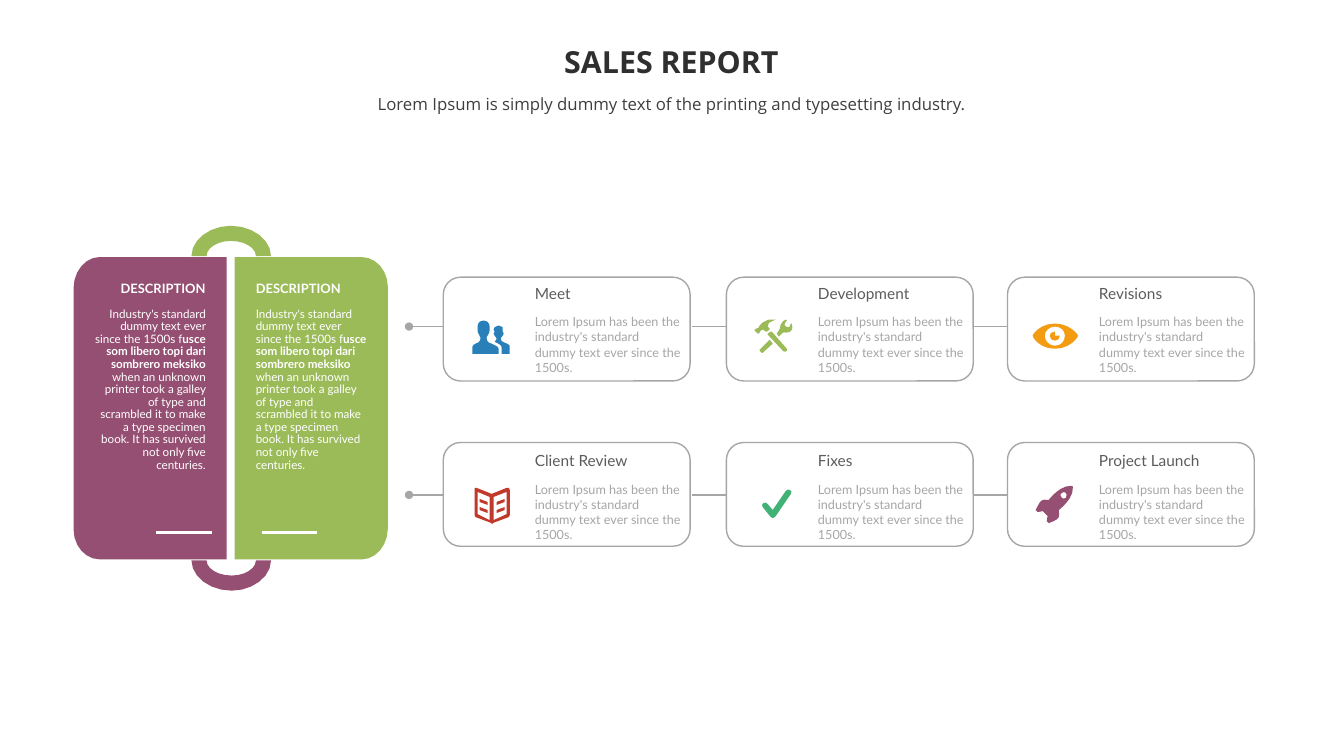
from lxml import etree
from pptx import Presentation
from pptx import util as u
from pptx.dml.color import RGBColor
from pptx.enum import shapes, text
from pptx.oxml import ns

GRAY, WHITE, PLUM, GREEN = "A6A6A6", "FFFFFF", "954F72", "9BBB59"
LEFT, RIGHT, MID = text.PP_ALIGN.LEFT, text.PP_ALIGN.RIGHT, text.PP_ALIGN.CENTER

# Outlines in hundredths of an inch: "x,y" is a line, six numbers are a curve,
# and "/" starts a new contour.
PANEL = "0,270 0,31 0,14,12,0,26,0 152,0 152,300 26,300 12,300,0,287,0,270"
ARCH = ("0,30 0,14,18,0,39,0 61,0,79,14,79,30 64,30 64,22,53,15,39,15 "
        "26,15,15,22,15,30")
PEOPLE = (
    "37,33 37,25 36,24,35,23,32,22 29,21,28,20,28,18 28,17,29,17,30,15 "
    "30,14,30,15,31,13 31,12,30,11,30,11 30,9 31,8,30,5,26,5 22,5,21,8,21,9 "
    "22,10,22,11,22,11 22,11,21,12,21,13 21,15,22,14,22,15 23,17,24,17,24,18 "
    "24,19,23,20,22,21 28,24,29,25,29,27 29,33 / "
    "19,23 15,22,14,20,14,17 14,16,15,16,16,13 16,12,17,13,17,10 17,6 "
    "17,4,16,0,11,0 6,0,5,4,5,6 5,10 5,13,6,12,6,13 7,16,8,16,8,17 "
    "8,20,7,22,3,23 2,24,0,24,0,26 0,33 26,33 26,28 26,26,23,25,19,23")
TOOLS = (
    "6,11 8,9,9,10,11,12 12,12 15,10 15,9 13,7 10,3,23,0,21,0 15,0 "
    "13,0,10,2,8,3 6,5,5,6,5,6 5,6,5,7,4,8 3,9,2,8,2,9 0,10 0,11 3,14 4,14 "
    "5,13 5,13,5,11,6,11 / "
    "17,12 16,11,16,11,16,12 13,14 13,15 29,32 29,33,30,33,30,32 32,31 32,29 / "
    "37,4 37,3,37,3,36,4 36,4,35,6,35,7 34,7,33,9,31,7 29,6,30,5,30,4 "
    "30,3,32,1,32,1 32,1,32,0,31,0 30,1,26,2,26,5 25,7,26,9,24,11 22,14 24,17 "
    "27,14 28,13,30,12,31,13 34,13,36,12,37,10 38,9,37,5,37,4 / "
    "5,30 5,31 7,33 8,33 18,24 15,20")
EYE = (
    "22,0 7,0,0,11,0,12 0,14,7,25,22,25 37,25,45,14,45,12 45,11,37,0,22,0 / "
    "22,22 17,22,12,18,12,12 12,7,17,3,22,3 28,3,32,7,32,12 32,18,28,22,22,22 / "
    "22,12 21,11,24,8,22,8 19,8,17,10,17,12 17,15,19,17,22,17 "
    "25,17,27,15,27,12 27,11,23,13,22,12")
BOOK = (
    "34,0 32,0 17,6 2,0 0,0 0,27 1,29 17,35 17,36 18,36 18,35 34,29 35,27 35,2 / "
    "15,32 3,26 3,4 15,9 / 32,26 19,32 19,9 32,4 / "
    "13,22 5,19 5,22 13,25 / 13,14 5,11 5,14 13,17 / "
    "30,19 22,22 22,25 30,22 / 30,11 22,14 22,17 30,14")
CHECK = (
    "11,29 10,29,9,28,9,28 1,18 0,17,0,15,2,14 3,13,5,14,6,15 11,21 24,2 "
    "25,1,27,0,28,1 30,2,30,4,29,5 14,27 13,28,12,29,11,29")
ROCKET = (
    "23,25 23,25,38,14,37,2 36,1 24,0,13,15,13,15 4,14,5,16,0,25 "
    "0,27,1,28,2,27 4,27,7,26,7,26 12,31 12,31,11,34,11,36 10,37,11,39,13,38 "
    "23,34,24,34,23,25 / "
    "26,13 24,11,24,9,26,8 27,7,29,7,30,8 31,9,31,11,30,13 29,14,27,14,26,13")

COLS = (4.4, 7.21, 10)
ROWS = ((2.75, 3.24, 2.77), (4.39, 4.91, 4.43))  # tops of box, line and text
STEPS = [
    [("Meet", PEOPLE, "2980B9", 4.69, 3.18),
     ("Development", TOOLS, GREEN, 7.49, 3.17),
     ("Revisions", EYE, "F39C12", 10.25, 3.21)],
    [("Client Review", BOOK, "C0392B", 4.71, 4.84),
     ("Fixes", CHECK, "41B176", 7.56, 4.85),
     ("Project Launch", ROCKET, PLUM, 10.28, 4.81)],
]
NOTE = ("Lorem Ipsum has been the industry's standard dummy text ever "
        "since the 1500s.")
ABOUT = ("Industry's standard dummy text ever since the 1500s f*usce som libero "
         "topi dari sombrero meksiko* when an unknown printer took a galley of "
         "type and scrambled it to make a type specimen book. It has survived "
         "not only five centuries.")


def tint(code):
    return RGBColor.from_string(code)


def trace(contour, x, y):
    """Turn one contour into points on the slide; longer curves get more."""
    pts = []
    for part in contour.split():
        nums = [float(n) / 100 for n in part.split(",")]
        ends = list(zip(nums[::2], nums[1::2]))
        if len(ends) == 1:
            pts += ends
            continue
        bend = [pts[-1]] + ends
        span = max(abs(a - b) for a, b in zip(bend[0], bend[3]))
        count = min(6, 1 + int(span / 0.03))
        for t in (i / count for i in range(1, count + 1)):
            mix = ((1 - t) ** 3, 3 * t * (1 - t) ** 2, 3 * t * t * (1 - t), t ** 3)
            pts.append(tuple(sum(m * p[k] for m, p in zip(mix, bend))
                             for k in (0, 1)))
    return [(u.Inches(x + px), u.Inches(y + py)) for px, py in pts]


def draw(slide, outline, color, x, y, turn=0):
    loops = [trace(c, x, y) for c in outline.split("/")]
    pen = slide.shapes.build_freeform(*loops[0][0])
    for i, loop in enumerate(loops):
        if i:
            pen.move_to(*loop[0])
        pen.add_line_segments(loop[1:], close=True)
    shape = pen.convert_to_shape()
    shape.shadow.inherit = False
    shape.fill.solid()
    shape.fill.fore_color.rgb = tint(color)
    shape.line.fill.background()
    shape.rotation = turn


def rule(slide, start, end, y, color=GRAY, width=1, dot=False):
    line = slide.shapes.add_connector(
        shapes.MSO_CONNECTOR.STRAIGHT,
        u.Inches(start), u.Inches(y), u.Inches(end), u.Inches(y))
    line.line.color.rgb = tint(color)
    line.line.width = u.Pt(width)
    props = line._element.spPr
    if dot:
        etree.SubElement(props.find(ns.qn("a:ln")), ns.qn("a:tailEnd"), type="oval")
    etree.SubElement(props, ns.qn("a:effectLst"))


def frame(slide, x, y, w, h, anchor=text.MSO_ANCHOR.TOP):
    box = slide.shapes.add_textbox(*map(u.Inches, (x, y, w, h))).text_frame
    box.word_wrap = True
    box.vertical_anchor = anchor
    return box


def write(box, words, size, color, font="Lato", bold=False, align=LEFT,
          lead=1.0, before=0, after=0):
    """Add a paragraph; words between asterisks change weight."""
    first = box.paragraphs[0]
    para = box.add_paragraph() if first.runs else first
    para.alignment, para.line_spacing = align, lead
    para.space_before, para.space_after = u.Pt(before), u.Pt(after)
    for i, part in enumerate(words.split("*")):
        run = para.add_run()
        run.text = part
        run.font.name, run.font.size = font, u.Pt(size)
        run.font.bold = bold != bool(i % 2)
        run.font.color.rgb = tint(color)


def panel(slide, x, color, turn, left, align):
    draw(slide, PANEL, color, x, 2.55, turn)
    box = frame(slide, left, 2.75, 1.31, 2.53)
    write(box, "DESCRIPTION", 9.2, WHITE, bold=True, align=align, lead=0.9, after=6)
    write(box, ABOUT, 8.3, WHITE, align=align, lead=0.9, before=2.6, after=6)


def card(slide, x, tops, title, dot):
    top, mid, head = tops
    rule(slide, x, x - 0.34, mid, dot=dot)
    shape = slide.shapes.add_shape(
        shapes.MSO_SHAPE.ROUNDED_RECTANGLE, *map(u.Inches, (x, top, 2.45, 1.03)))
    shape.shadow.inherit = False
    shape.fill.background()
    shape.line.color.rgb = tint(GRAY)
    shape.line.width = u.Pt(1)
    box = frame(slide, x + 0.81, head, 1.65, 1.03)
    write(box, title, 11, "5C5C5C", after=6)
    write(box, NOTE, 9, GRAY, before=2.2, after=6)


def main():
    deck = Presentation()
    deck.slide_width, deck.slide_height = u.Inches(13.34), u.Inches(7.5)
    slide = deck.slides.add_slide(deck.slide_layouts[6])

    head = frame(slide, 2.71, 0.4, 7.91, 0.49, text.MSO_ANCHOR.MIDDLE)
    write(head, "SALES REPORT", 21.7, "2F2F2F", "Open Sans", True, MID, 0.8)
    write(frame(slide, 3.3, 0.88, 6.74, 0.3),
          "Lorem Ipsum is simply dummy text of the printing and typesetting industry.",
          12, "3F3F3F", "Open Sans", align=MID)

    panel(slide, 0.73, PLUM, 0, 0.83, RIGHT)
    panel(slide, 2.33, GREEN, 180, 2.44, LEFT)
    draw(slide, ARCH, GREEN, 1.9, 2.24)
    draw(slide, ARCH, PLUM, 1.9, 5.56, 180)
    for x in (1.55, 2.6):
        rule(slide, x, x + 0.55, 5.28, WHITE, 2.25)

    for tops, row in zip(ROWS, STEPS):
        for x, (title, icon, color, left, top) in zip(COLS, row):
            card(slide, x, tops, title, dot=x == COLS[0])
            draw(slide, icon, color, left, top)

    deck.save("out.pptx")


if __name__ == "__main__":
    main()
